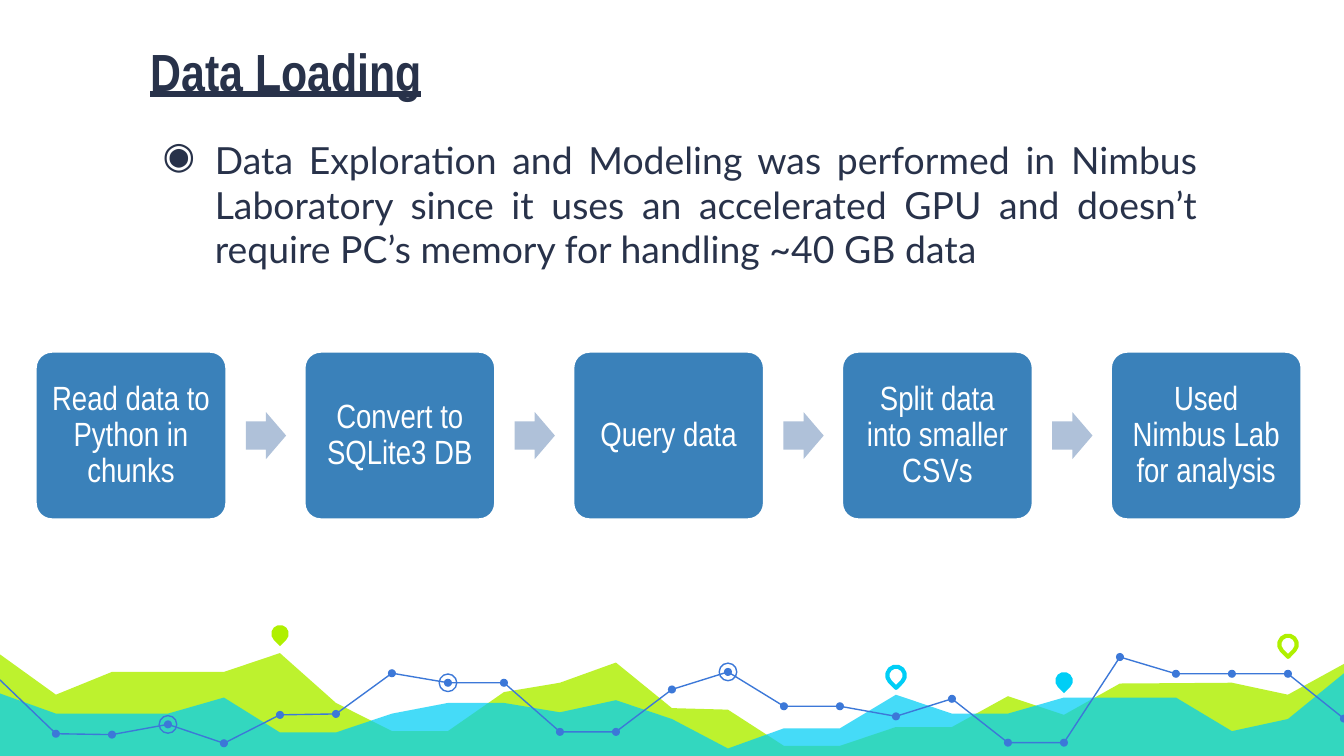
from lxml import etree
from pptx import Presentation
from pptx.dml.color import RGBColor
from pptx.enum.shapes import MSO_SHAPE as Preset
from pptx.enum.text import MSO_ANCHOR as Anchor, MSO_AUTO_SIZE as AutoSize, PP_ALIGN as Align
from pptx.oxml.ns import qn
from pptx.util import Pt

WIDTH, HEIGHT = 720, 405
INK, WHITE, BLUE, ARROW = "28324A", "FFFFFF", "3A81BA", "AFC1D9"
LIME, CYAN, LINE = "AFF000", "00CEF6", "3C78D8"

TITLE = "Data Loading"
BODY = ("Data Exploration and Modeling was performed in Nimbus Laboratory since it uses "
        "an accelerated GPU and doesn’t require PC’s memory for handling ~40 GB data")
STEPS = ["Read data to Python in chunks", "Convert to SQLite3 DB", "Query data",
         "Split data into smaller CSVs", "Used Nimbus Lab for analysis"]

# Heights of the footer graph, one value every GRAPH_STEP points
GRAPH_STEP = 30
LIME_AREA = [350.6, 372.2, 360, 360, 360, 349.9, 376.6, 391.7, 391.7, 370.8, 365.8, 355, 379.4,
             380.2, 399.6, 399.6, 389.5, 389.5, 373, 383, 366.2, 366, 365.8, 372.2, 355.7]
CYAN_AREA = [371.5, 382.3, 382.3, 382.3, 373.7, 392.4, 392.4, 382.3, 376.6, 376.6, 381.6, 375.1,
             385.2, 401, 390.2, 390.2, 372.2, 382.3, 382.3, 373.7, 373.7, 373.7, 391.7, 385.2,
             360.7]
TREND = [364.3, 393.1, 393.6, 388.1, 398.2, 383, 382.5, 360.7, 365.8, 365.8, 392.1, 392.1, 369.4,
         360, 378.4, 378.4, 383.8, 374.4, 397.9, 397.9, 352, 361, 361, 361, 385]
RINGED = [3, 8, 13]
PINS = [(5, 339.5, LIME, True), (16, 361.8, CYAN, False),
        (19, 364.7, CYAN, True), (23, 345.2, LIME, False)]  # index, height, colour, solid
DOT, MARKER = 4.3, 9.4

STEP_LEFT, STEP_TOP, STEP_PITCH = 18.7, 188, 144
STEP_WIDTH, STEP_HEIGHT = 103, 90.7
ARROW_WIDTH, ARROW_HEIGHT, ARROW_OFFSET = 21.6, 25.2, 113


def color(hex_color):
    return RGBColor.from_string(hex_color)


def paint(shape, fill=None, line=None, line_width=0.75, opacity=None):
    shape.shadow.inherit = False
    if fill:
        shape.fill.solid()
        shape.fill.fore_color.rgb = color(fill)
        if opacity:
            fill_color = shape.fill._xPr.find(qn("a:solidFill"))[0]
            etree.SubElement(fill_color, qn("a:alpha"), val=str(opacity * 1000))
    else:
        shape.fill.background()
    if line:
        shape.line.color.rgb = color(line)
        shape.line.width = Pt(line_width)
    else:
        shape.line.fill.background()


def add_preset(slide, preset, left, top, width, height):
    return slide.shapes.add_shape(preset, Pt(left), Pt(top), Pt(width), Pt(height))


def add_marker(slide, preset, index, middle, size):
    """Add a shape centred on a position of the footer graph."""
    return add_preset(slide, preset, index * GRAPH_STEP - size / 2, middle - size / 2, size, size)


def add_graph(slide, heights, closed):
    points = [(Pt(index * GRAPH_STEP), Pt(height)) for index, height in enumerate(heights)]
    if closed:
        points += [(Pt(WIDTH), Pt(HEIGHT)), (0, Pt(HEIGHT))]
    builder = slide.shapes.build_freeform(*points[0])
    builder.add_line_segments(points[1:], close=closed)
    return builder.convert_to_shape()


def set_text(frame, text, size, font, hex_color, align, margins):
    frame.text = text
    frame.word_wrap = True
    frame.auto_size = AutoSize.NONE
    frame.margin_left = frame.margin_right = Pt(margins[0])
    frame.margin_top = frame.margin_bottom = Pt(margins[1])
    paragraph = frame.paragraphs[0]
    paragraph.alignment = align
    run_font = paragraph.runs[0].font
    run_font.size, run_font.name = Pt(size), font
    run_font.color.rgb = color(hex_color)
    return paragraph


def add_bullet(paragraph, character, hex_color, indent, hanging):
    properties = paragraph._p.get_or_add_pPr()
    properties.set("marL", str(Pt(indent)))
    properties.set("indent", str(-Pt(hanging)))
    bullet_color = etree.SubElement(properties, qn("a:buClr"))
    etree.SubElement(bullet_color, qn("a:srgbClr"), val=hex_color)
    etree.SubElement(properties, qn("a:buChar"), char=character)


def add_footer(slide):
    paint(add_graph(slide, LIME_AREA, True), LIME, opacity=82)
    paint(add_graph(slide, CYAN_AREA, True), CYAN, opacity=73)
    for index, middle, hex_color, solid in PINS:
        pin = add_marker(slide, Preset.TEAR, index, middle, MARKER)
        pin.rotation = 135
        paint(pin, hex_color if solid else None, None if solid else hex_color, 2.25)
    paint(add_graph(slide, TREND, False), line=LINE)
    for index, middle in enumerate(TREND[1:], start=1):
        paint(add_marker(slide, Preset.OVAL, index, middle, DOT), LINE)
    for index in RINGED:
        paint(add_marker(slide, Preset.OVAL, index, TREND[index], MARKER), line=LINE)


def add_heading(slide):
    title = slide.shapes.title
    title.left, title.top, title.width, title.height = Pt(73.4), Pt(17.3), Pt(561.6), Pt(41)
    title.text_frame.vertical_anchor = Anchor.TOP
    paragraph = set_text(title.text_frame, TITLE, 28, "Arial Narrow", INK, Align.LEFT, (7.2, 3.6))
    paragraph.line_spacing = 1.0
    paragraph.space_before = Pt(0)
    paragraph.runs[0].font.bold = paragraph.runs[0].font.underline = True


def add_body(slide):
    body = slide.shapes.add_textbox(Pt(72), Pt(66.2), Pt(576.7), Pt(103))
    paragraph = set_text(body.text_frame, BODY, 20, "Lato", INK, Align.JUSTIFY, (7.2, 7.2))
    paragraph.space_before = Pt(6)
    add_bullet(paragraph, "◉", INK, 36, 28)


def add_steps(slide):
    for number, text in enumerate(STEPS):
        left = STEP_LEFT + number * STEP_PITCH
        box = add_preset(slide, Preset.ROUNDED_RECTANGLE, left, STEP_TOP, STEP_WIDTH, STEP_HEIGHT)
        box.adjustments[0] = 0.1
        paint(box, BLUE, WHITE, 2)
        box.text_frame.vertical_anchor = Anchor.MIDDLE
        paragraph = set_text(box.text_frame, text, 18, "Arial Narrow", WHITE, Align.CENTER, (5, 5))
        paragraph.line_spacing = 0.9
        if number < len(STEPS) - 1:
            arrow = add_preset(slide, Preset.RIGHT_ARROW, left + ARROW_OFFSET,
                               STEP_TOP + (STEP_HEIGHT - ARROW_HEIGHT) / 2,
                               ARROW_WIDTH, ARROW_HEIGHT)
            arrow.adjustments[0] = 0.6
            paint(arrow, ARROW)


def main():
    presentation = Presentation()
    presentation.slide_width, presentation.slide_height = Pt(WIDTH), Pt(HEIGHT)
    slide = presentation.slides.add_slide(presentation.slide_layouts[5])
    add_footer(slide)
    add_heading(slide)
    add_body(slide)
    add_steps(slide)
    presentation.save("out.pptx")


if __name__ == "__main__":
    main()
